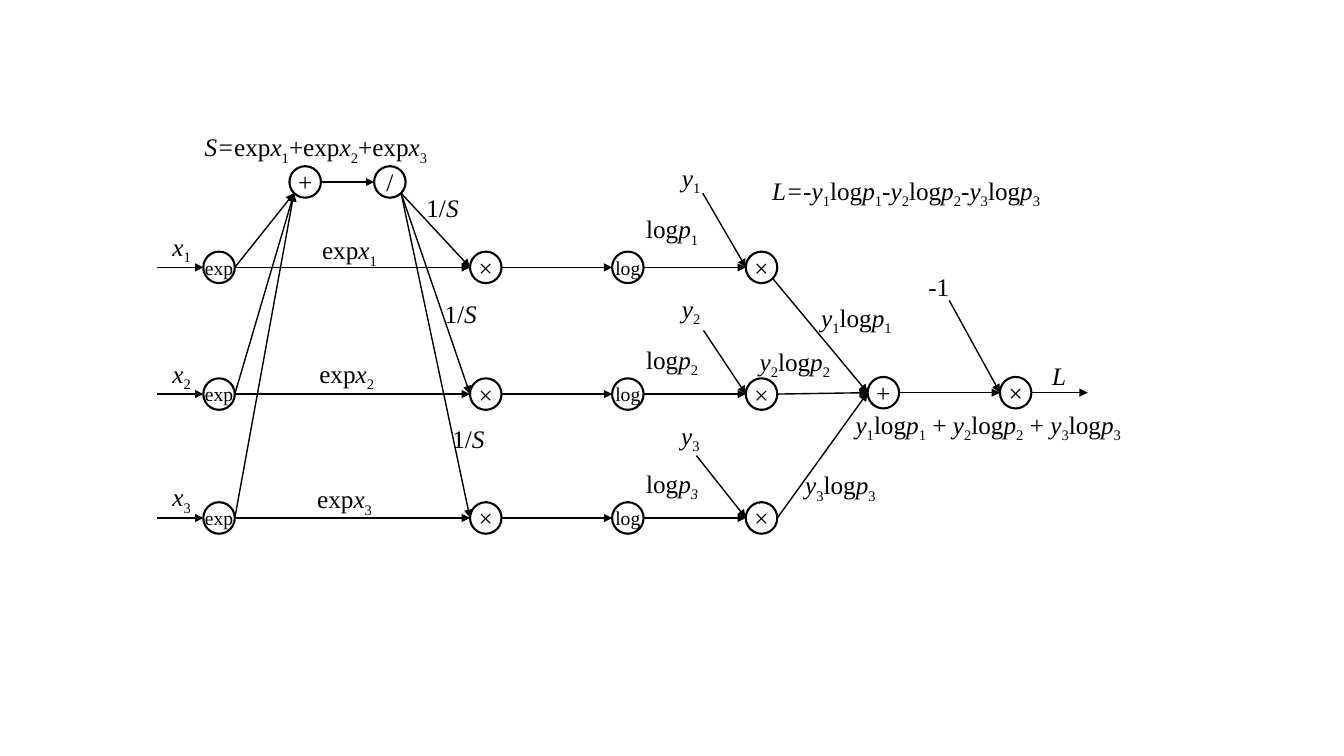
from lxml import etree
from pptx import Presentation
from pptx.dml.color import RGBColor
from pptx.enum import shapes, text
from pptx.oxml import ns
from pptx.util import Pt

COLORS = {"ink": "000000"}
FONT = "Times New Roman"
RADIUS = 11.25
CORNER = 8
PORTS = {"W": (-RADIUS, 0), "E": (RADIUS, 0),
         "SW": (-CORNER, CORNER), "SE": (CORNER, CORNER)}

# Centres of the node columns and rows
EXP_X, SCALE_X, LOG_X, TARGET_X = 156.5, 347, 448.5, 544
ADD_EXP, INVERT, SUM_LOG, NEGATE = (218, 130), (278.5, 130), (631, 280.5), (725.5, 280.5)

# Per row: centre, then left and top of each label, and the start of the y arrow
ROWS = [
    {"y": 191, "exp": (223, 164), "inverse": (297.5, 134), "log": (454.5, 149),
     "target": (480, 112.5), "arrow": (502, 138), "product": (579.5, 212.5)},
    {"y": 281.5, "exp": (221, 252.5), "inverse": (310.5, 209.5), "log": (454.5, 242.5),
     "target": (480, 206), "arrow": (502.5, 236), "product": (535.5, 243.5)},
    {"y": 370, "exp": (219.5, 342), "inverse": (316, 299), "log": (454.5, 331),
     "target": (479.5, 296.5), "arrow": (497.5, 325.5), "product": (568, 332)},
]


def ink():
    return RGBColor.from_string(COLORS["ink"])


def port(center, side):
    """Point on the rim of the node at center."""
    dx, dy = PORTS[side]
    return center[0] + dx, center[1] + dy


def add_label(page, left, top, width, formula, size=18, align=text.PP_ALIGN.LEFT):
    """Formula parts are split by |; a leading * is italic, then _ is subscript."""
    box = page.shapes.add_textbox(Pt(left), Pt(top), Pt(width), Pt(size * 1.2 + 7.2))
    box.text_frame.word_wrap = True
    box.text_frame.auto_size = text.MSO_AUTO_SIZE.SHAPE_TO_FIT_TEXT
    para = box.text_frame.paragraphs[0]
    para.alignment = align
    for part in formula.split("|"):
        span = para.add_run()
        span.text = part.lstrip("*_")
        span.font.name = FONT
        span.font.size = Pt(size)
        span.font.color.rgb = ink()
        span.font.italic = part.startswith("*")
        if part.lstrip("*").startswith("_"):
            span.font._element.set("baseline", "-25000")


def add_node(page, center, symbol):
    x, y = center
    circle = page.shapes.add_shape(shapes.MSO_SHAPE.FLOWCHART_CONNECTOR, Pt(x - RADIUS),
                                   Pt(y - RADIUS), Pt(2 * RADIUS), Pt(2 * RADIUS))
    circle.shadow.inherit = False
    circle.fill.background()
    circle.line.color.rgb = ink()
    circle.line.width = Pt(1.5)
    size = 14 if symbol.isalpha() else 18
    add_label(page, x - 18, y - size * 0.6 - 3.6, 36, symbol, size, text.PP_ALIGN.CENTER)


def add_arrow(page, start, end):
    arrow = page.shapes.add_connector(shapes.MSO_CONNECTOR.STRAIGHT,
                                      *(Pt(value) for value in (*start, *end)))
    arrow.line.color.rgb = ink()
    arrow.line.width = Pt(1)
    etree.SubElement(arrow.line._get_or_add_ln(), ns.qn("a:tailEnd"), type="triangle")
    etree.SubElement(arrow._element.spPr, ns.qn("a:effectLst"))


def add_shared_nodes(page):
    for center, symbol in [(ADD_EXP, "+"), (INVERT, "/"), (SUM_LOG, "+"), (NEGATE, "×")]:
        add_node(page, center, symbol)
    add_arrow(page, port(ADD_EXP, "E"), port(INVERT, "W"))
    add_arrow(page, port(SUM_LOG, "E"), port(NEGATE, "W"))
    add_arrow(page, port(NEGATE, "E"), (777, 280.5))
    add_arrow(page, (678, 214.5), port(NEGATE, "W"))


def add_row(page, number, row):
    centers = [(x, row["y"]) for x in (EXP_X, SCALE_X, LOG_X, TARGET_X)]
    exp, scale, log, target = centers
    for center, symbol in zip(centers, ("exp", "×", "log", "×")):
        add_node(page, center, symbol)
    for source, goal in zip(centers, centers[1:]):
        add_arrow(page, port(source, "E"), port(goal, "W"))
    add_arrow(page, (112, row["y"]), port(exp, "W"))
    add_arrow(page, port(exp, "E"), port(ADD_EXP, "SW"))
    add_arrow(page, port(INVERT, "SE"), port(scale, "W"))
    add_arrow(page, row["arrow"], port(target, "W"))
    add_arrow(page, port(target, "SE" if number == 1 else "E"), port(SUM_LOG, "W"))

    log_index = "*_3" if number == 3 else f"_{number}"
    add_label(page, 116, row["y"] - 29.4, 32, f"*x|_{number}")
    add_label(page, *row["exp"], 58, f"exp|*x|_{number}")
    add_label(page, *row["inverse"], 40, "1/|*S")
    add_label(page, *row["log"], 56, f"log|*p|{log_index}")
    add_label(page, *row["target"], 36, f"*y|_{number}")
    add_label(page, *row["product"], 72, log_term(number))


def log_term(number):
    return f"*y|_{number}|log|*p|_{number}"


def main():
    deck = Presentation()
    deck.slide_width, deck.slide_height = Pt(960), Pt(540)
    page = deck.slides.add_slide(deck.slide_layouts[6])

    add_shared_nodes(page)
    for number, row in enumerate(ROWS, 1):
        add_row(page, number, row)

    terms = [log_term(number) for number in (1, 2, 3)]
    add_label(page, 139, 90.5, 182, "*S=|exp|*x|_1|+exp|*x|_2|+exp|*x|_3")
    add_label(page, 544.5, 121.5, 222, "*L=|" + "|".join("*-" + term[1:] for term in terms))
    add_label(page, 604, 288.5, 214, "| + |".join(terms))
    add_label(page, 656, 190, 37, "-1")
    add_label(page, 744.5, 254, 37, "*L")
    deck.save("out.pptx")


if __name__ == "__main__":
    main()
